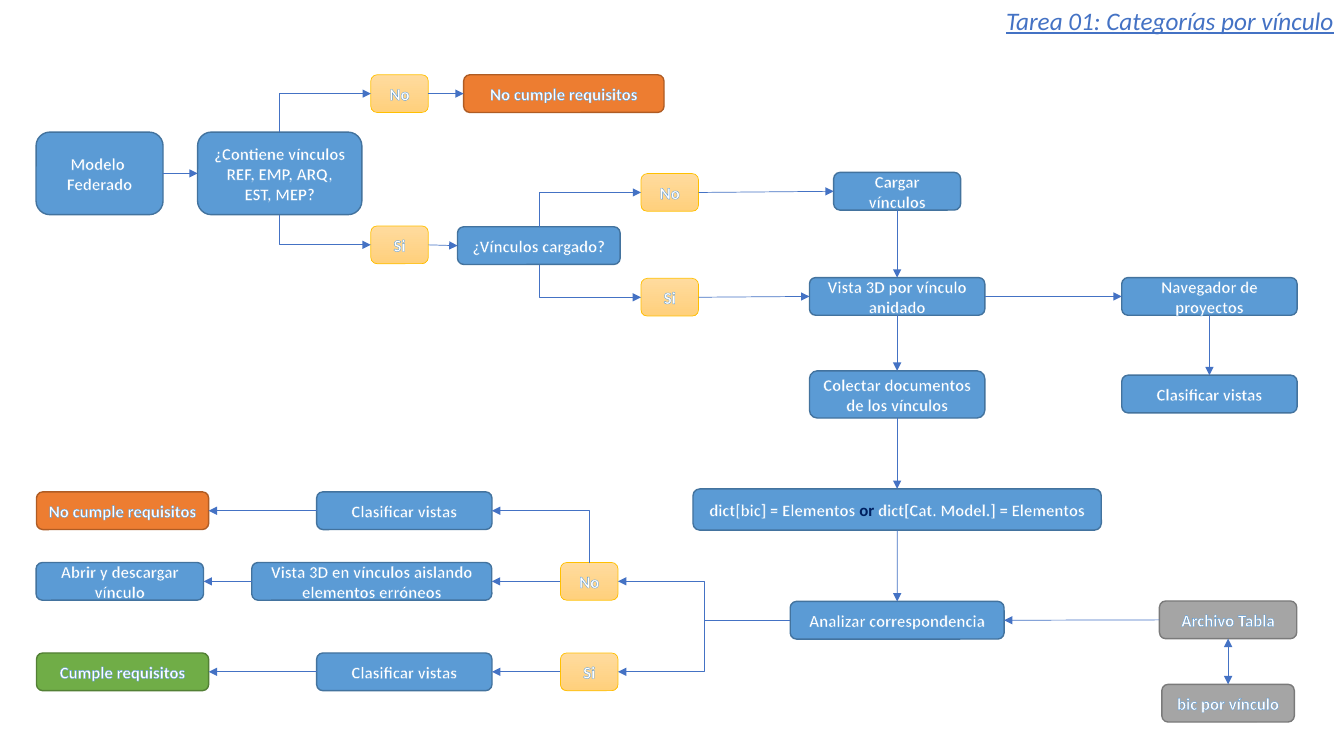
import pptx
import pptx.util
import pptx.dml.color
import pptx.enum.shapes
import pptx.enum.text
import pptx.oxml
import pptx.oxml.ns

COLORS = {
    "white": "FFFFFF", "navy": "002060", "arrow": "4472C4",
    "blue": "5B9BD5", "blue_edge": "43739E",
    "orange": "ED7D31", "orange_edge": "AF5C24",
    "green": "70AD47", "green_edge": "538035",
    "gray": "A5A5A5", "gray_edge": "7A7A7A",
    "answer": "FFDB9E", "answer_end": "FFD07C", "answer_edge": "FFC000",
}
FONT = "Calibri"
TITLE = "Tarea 01: Categorías por vínculo"
STEP_H = 0.95
ANSWER_W = 1.45
VIEW_W = 4.42
MAIN_X = 22.61

BOXES = {
    "modelo": ("Modelo \nFederado", "blue", 2.51, 4.37, 3.2, 2.08),
    "contiene": ("¿Contiene vínculos\nREF, EMP, ARQ, EST, MEP?", "blue", 7.05, 4.37, 4.14, 2.08),
    "contiene_no": ("No", "answer", 10.07, 2.36, ANSWER_W, STEP_H),
    "contiene_si": ("Si", "answer", 10.07, 6.17, ANSWER_W, STEP_H),
    "sin_vinculos": ("No cumple requisitos", "orange", 14.21, 2.36, 5.05, STEP_H),
    "cargado": ("¿Vínculos cargado?", "blue", 13.58, 6.19, 4.1, STEP_H),
    "cargado_no": ("No", "answer", 16.88, 4.85, ANSWER_W, STEP_H),
    "cargado_si": ("Si", "answer", 16.88, 7.49, ANSWER_W, STEP_H),
    "cargar": ("Cargar vínculos", "blue", MAIN_X, 4.82, 3.2, STEP_H),
    "vista": ("Vista 3D por vínculo anidado", "blue", MAIN_X, 7.47, VIEW_W, STEP_H),
    "navegador": ("Navegador de proyectos", "blue", 30.48, 7.47, VIEW_W, STEP_H),
    "clasificar": ("Clasificar vistas", "blue", 30.48, 9.93, VIEW_W, STEP_H),
    "colectar": ("Colectar documentos de los vínculos", "blue", MAIN_X, 9.94, VIEW_W, 1.19),
    "dict": ("dict[bic] = Elementos |or |dict[Cat. Model.] = Elementos", "blue", MAIN_X, 12.84, 10.29, 1.04),
    "analizar": ("Analizar correspondencia", "blue", MAIN_X, 15.63, 5.39, STEP_H),
    "tabla": ("Archivo Tabla", "gray", 30.95, 15.62, 3.46, STEP_H),
    "bic": ("bic por vínculo", "gray", 30.95, 17.72, 3.34, STEP_H),
    "analizar_no": ("No", "answer", 14.85, 14.65, ANSWER_W, STEP_H),
    "analizar_si": ("Si", "answer", 14.85, 16.93, ANSWER_W, STEP_H),
    "aislar": ("Vista 3D en vínculos aislando elementos erróneos", "blue", 9.37, 14.65, 6.05, STEP_H),
    "abrir": ("Abrir y descargar vínculo", "blue", 3.02, 14.65, 4.22, STEP_H),
    "clasificar_no": ("Clasificar vistas", "blue", 10.19, 12.87, VIEW_W, STEP_H),
    "clasificar_si": ("Clasificar vistas", "blue", 10.19, 16.93, VIEW_W, STEP_H),
    "no_cumple": ("No cumple requisitos", "orange", 3.09, 12.87, 4.34, STEP_H),
    "cumple": ("Cumple requisitos", "green", 3.09, 16.93, 4.34, STEP_H),
}

TOP, LEFT, BOTTOM, RIGHT = range(4)
STRAIGHT = [
    (RIGHT, LEFT, [("modelo", "contiene"), ("contiene_no", "sin_vinculos"),
                   ("contiene_si", "cargado"), ("cargado_no", "cargar"),
                   ("cargado_si", "vista"), ("vista", "navegador")]),
    (BOTTOM, TOP, [("cargar", "vista"), ("vista", "colectar"), ("colectar", "dict"),
                   ("dict", "analizar"), ("navegador", "clasificar"), ("tabla", "bic")]),
    (LEFT, RIGHT, [("tabla", "analizar"), ("analizar_no", "aislar"), ("aislar", "abrir"),
                   ("analizar_si", "clasificar_si"), ("clasificar_si", "cumple"),
                   ("clasificar_no", "no_cumple")]),
]
CORNERS = [
    ("contiene", TOP, "contiene_no", LEFT), ("contiene", BOTTOM, "contiene_si", LEFT),
    ("cargado", TOP, "cargado_no", LEFT), ("cargado", BOTTOM, "cargado_si", LEFT),
    ("analizar_no", TOP, "clasificar_no", RIGHT),
]
FORKS = [("analizar", LEFT, "analizar_no", RIGHT), ("analizar", LEFT, "analizar_si", RIGHT)]
TWO_WAY = ("tabla", "bic")


def cm(value):
    return pptx.util.Cm(value)


def rgb(name):
    return pptx.dml.color.RGBColor.from_string(COLORS[name])


def add_xml(parent, xml, index=None):
    el = pptx.oxml.parse_xml(xml.replace(
        "NS", 'xmlns:a="http://schemas.openxmlformats.org/drawingml/2006/main"'))
    parent.insert(len(parent) if index is None else index, el)


def write(tf, text, size=12, color="white", accent="navy", align="CENTER", anchor="MIDDLE",
          bold=False, italic=False, underline=False, outline=None):
    tf.word_wrap = True
    tf.auto_size = pptx.enum.text.MSO_AUTO_SIZE.NONE
    tf.vertical_anchor = pptx.enum.text.MSO_ANCHOR[anchor]
    for i, line in enumerate(text.split("\n")):
        p = tf.add_paragraph() if i else tf.paragraphs[0]
        p.alignment = pptx.enum.text.PP_ALIGN[align]
        for j, part in enumerate(line.split("|")):
            r = p.add_run()
            r.text = part
            r.font.name, r.font.size = FONT, pptx.util.Pt(size)
            r.font.bold, r.font.italic, r.font.underline = bold, italic, underline
            r.font.color.rgb = rgb(accent if j % 2 else color)
            if outline:
                add_xml(r.font._element, '<a:ln NS w="10160"><a:solidFill><a:srgbClr val="'
                        + COLORS[outline] + '"/></a:solidFill></a:ln>', 0)


def add_box(slide, text, color, cx, cy, w, h):
    sp = slide.shapes.add_shape(pptx.enum.shapes.MSO_SHAPE.ROUNDED_RECTANGLE,
                                cm(cx - w / 2), cm(cy - h / 2), cm(w), cm(h))
    sp.shadow.inherit = False
    if color == "answer":
        sp.fill.gradient()
        sp.fill.gradient_angle = 270
        for stop, name in zip(sp.fill.gradient_stops, ("answer", "answer_end")):
            stop.color.rgb = rgb(name)
    else:
        sp.fill.solid()
        sp.fill.fore_color.rgb = rgb(color)
    sp.line.color.rgb = rgb(color + "_edge")
    sp.line.width = pptx.util.Pt(0.5 if color == "answer" else 1)
    write(sp.text_frame, text, bold=True, outline="blue")
    return sp


def add_arrow(slide, kind, source, begin_side, target, end_side, two_way=False):
    cxn = slide.shapes.add_connector(pptx.enum.shapes.MSO_CONNECTOR[kind], 0, 0, 0, 0)
    cxn.begin_connect(source, begin_side)
    cxn.end_connect(target, end_side)
    cxn.line.color.rgb = rgb("arrow")
    cxn.line.width = pptx.util.Pt(0.5)
    ln = cxn.line._get_or_add_ln()
    if two_way:
        add_xml(ln, '<a:headEnd NS type="triangle"/>')
    add_xml(ln, '<a:tailEnd NS type="triangle"/>')
    add_xml(cxn._element.spPr, "<a:effectLst NS/>")
    return cxn


def turn_corner(cxn):
    x0, y0, x1, y1 = cxn.begin_x, cxn.begin_y, cxn.end_x, cxn.end_y
    w, h = abs(y1 - y0), abs(x1 - x0)
    cxn.left, cxn.top = (x0 + x1 - w) // 2, (y0 + y1 - h) // 2
    cxn.width, cxn.height = w, h
    sp_pr = cxn._element.spPr
    xfrm = sp_pr.find(pptx.oxml.ns.qn("a:xfrm"))
    xfrm.set("rot", "5400000")
    xfrm.set("flipH", str(int(y1 < y0)))
    xfrm.set("flipV", str(int(x1 > x0)))
    sp_pr.find(pptx.oxml.ns.qn("a:prstGeom")).set("prst", "bentConnector2")


def main():
    prs = pptx.Presentation()
    prs.slide_width, prs.slide_height = cm(33.87), cm(19.05)
    s = prs.slides.add_slide(prs.slide_layouts[5])
    title = s.shapes.title
    title.left, title.top, title.width, title.height = cm(24.58), cm(0), cm(9.29), cm(1.03)
    write(title.text_frame, TITLE, size=18, color="arrow", align="RIGHT", anchor="TOP",
          italic=True, underline=True)

    boxes = {name: add_box(s, *box) for name, box in BOXES.items()}
    for begin_side, end_side, pairs in STRAIGHT:
        for a, b in pairs:
            add_arrow(s, "STRAIGHT", boxes[a], begin_side, boxes[b], end_side, (a, b) == TWO_WAY)
    for a, begin_side, b, end_side in CORNERS:
        turn_corner(add_arrow(s, "ELBOW", boxes[a], begin_side, boxes[b], end_side))
    for a, begin_side, b, end_side in FORKS:
        add_arrow(s, "ELBOW", boxes[a], begin_side, boxes[b], end_side)
    prs.save("out.pptx")


if __name__ == "__main__":
    main()
